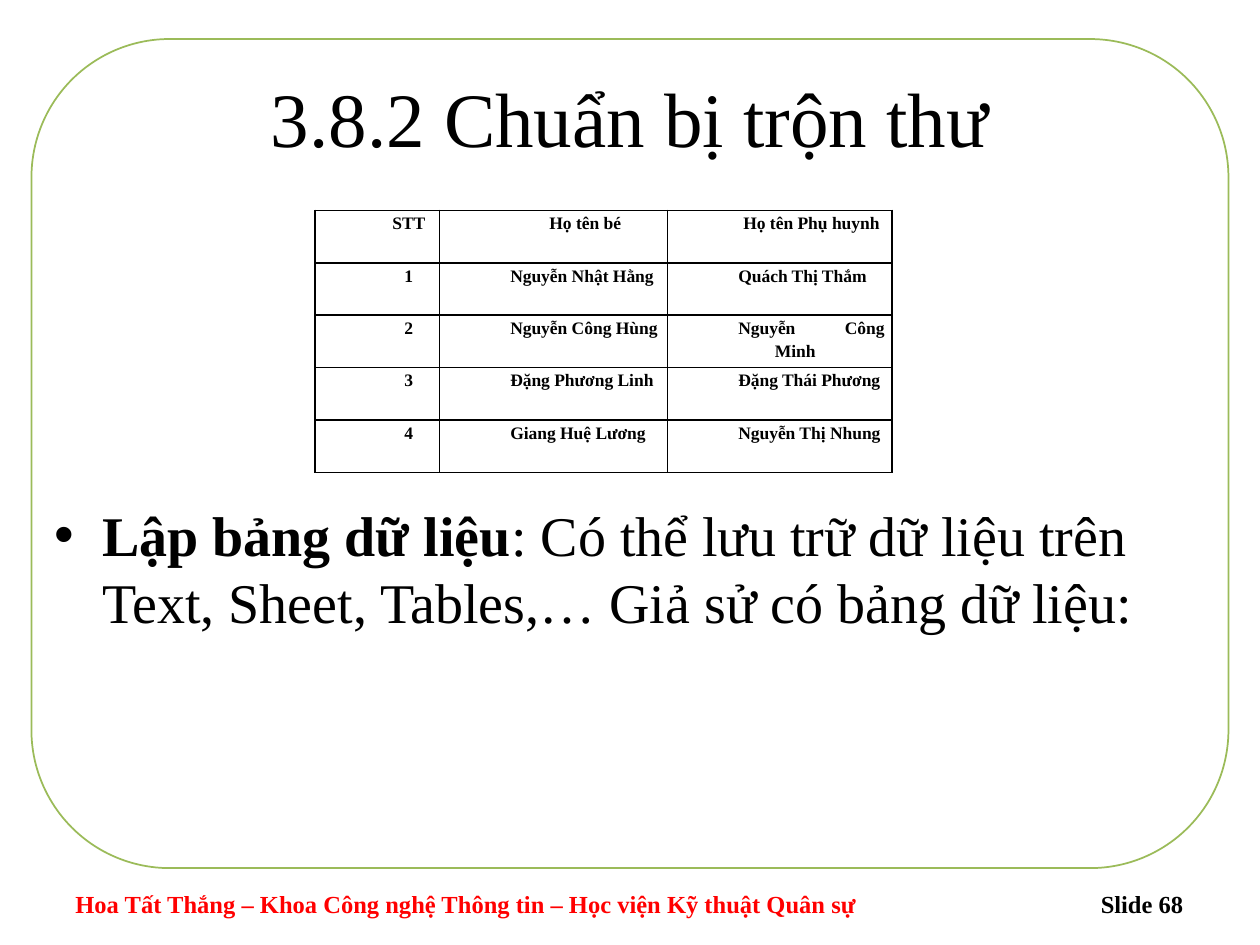
from lxml.etree import SubElement
from pptx import Presentation
from pptx.dml.color import RGBColor
from pptx.enum.shapes import MSO_SHAPE
from pptx.enum.text import MSO_ANCHOR, MSO_AUTO_SIZE, PP_ALIGN
from pptx.oxml import parse_xml
from pptx.oxml.ns import nsdecls, qn
from pptx.util import Inches, Pt


def color(value):
    return RGBColor.from_string(value)


def write(paragraph, text, size=14, ink="000000", bold=False, align=None, left=0, hanging=0, bullet=None):
    properties = paragraph._p.get_or_add_pPr()
    properties.set("marL", str(Inches(left)))
    properties.set("indent", str(-Inches(hanging)))
    if bullet:
        SubElement(properties, qn("a:buChar")).set("char", bullet)
    if align is not None:
        paragraph.alignment = align
    span = paragraph.add_run()
    span.text = text
    span.font.name = "Times New Roman"
    span.font.size = Pt(size)
    span.font.bold = bold
    span.font.color.rgb = color(ink)


deck = Presentation()
deck.slide_width = Inches(10)
deck.slide_height = Inches(7.5)
page = deck.slides.add_slide(deck.slide_layouts[1])
title = page.shapes.title
body = page.placeholders[1]

frame = page.shapes.add_shape(
    MSO_SHAPE.ROUNDED_RECTANGLE, Inches(0.25), Inches(0.31), Inches(9.5), Inches(6.58)
)
frame.shadow.inherit = False
frame.fill.solid()
frame.fill.fore_color.rgb = color("FFFFFF")
frame.line.color.rgb = color("9BBB59")
frame.line.width = Pt(1)
title.element.addprevious(frame.element)

footers = [
    (0.5, 7.25, "Hoa Tất Thắng – Khoa Công nghệ Thông tin – Học viện Kỹ thuật Quân sự", "FF0000", PP_ALIGN.LEFT),
    (7.42, 2.07, "Slide 68", "000000", PP_ALIGN.RIGHT),
]
for left, width, text, ink, align in footers:
    box = page.shapes.add_textbox(Inches(left), Inches(7.01), Inches(width), Inches(0.34))
    box.text_frame.word_wrap = True
    write(box.text_frame.paragraphs[0], text, ink=ink, bold=True, align=align)

title.left, title.top = Inches(0.5), Inches(0.3)
title.width, title.height = Inches(9), Inches(1.25)
title.text_frame.auto_size = MSO_AUTO_SIZE.NONE
title.text_frame.vertical_anchor = MSO_ANCHOR.MIDDLE
write(title.text_frame.paragraphs[0], "3.8.2 Chuẩn bị trộn thư", size=44, align=PP_ALIGN.CENTER)

records = [
    ("STT", "Họ tên bé", "Họ tên Phụ huynh"),
    ("1", "Nguyễn Nhật Hằng", "Quách Thị Thắm"),
    ("2", "Nguyễn Công Hùng", "Nguyễn Công Minh"),
    ("3", "Đặng Phương Linh", "Đặng Thái Phương"),
    ("4", "Giang Huệ Lương", "Nguyễn Thị Nhung"),
]
widths = [0.99, 1.81, 1.78]
table = page.shapes.add_table(
    len(records), len(widths), Inches(2.5), Inches(1.67), Inches(sum(widths)), Inches(2.08)
).table
for column, width in zip(table.columns, widths):
    column.width = Inches(width)
for row_number, record in enumerate(records):
    table.rows[row_number].height = Inches(2.08 / len(records))
    for column_number, text in enumerate(record):
        cell = table.cell(row_number, column_number)
        cell.margin_left = cell.margin_right = Inches(0.06)
        cell.margin_top = cell.margin_bottom = 0
        cell.fill.background()
        centred = row_number == 0 or column_number == 0
        paragraph = cell.text_frame.paragraphs[0]
        write(paragraph, text, size=10, bold=True, left=0.79, hanging=0.29,
              align=PP_ALIGN.CENTER if centred else PP_ALIGN.JUSTIFY)
        paragraph.line_spacing = 1.2
        for position, side in enumerate(("lnL", "lnR", "lnT", "lnB")):
            border = parse_xml(
                f'<a:{side} {nsdecls("a")} w="{Pt(1)}"><a:solidFill>'
                f'<a:srgbClr val="000000"/></a:solidFill></a:{side}>'
            )
            cell._tc.get_or_add_tcPr().insert(position, border)

body.left, body.top = Inches(0.33), Inches(3.92)
body.width, body.height = Inches(9.33), Inches(2.92)
body.text_frame.auto_size = MSO_AUTO_SIZE.NONE
paragraph = body.text_frame.paragraphs[0]
write(paragraph, "Lập bảng dữ liệu", size=32, bold=True, left=0.38, hanging=0.38, bullet="•")
write(paragraph, ": Có thể lưu trữ dữ liệu trên Text, Sheet, Tables,… Giả sử có bảng dữ liệu:",
      size=32, left=0.38, hanging=0.38)
paragraph.space_before = Pt(0)

deck.save("out.pptx")
